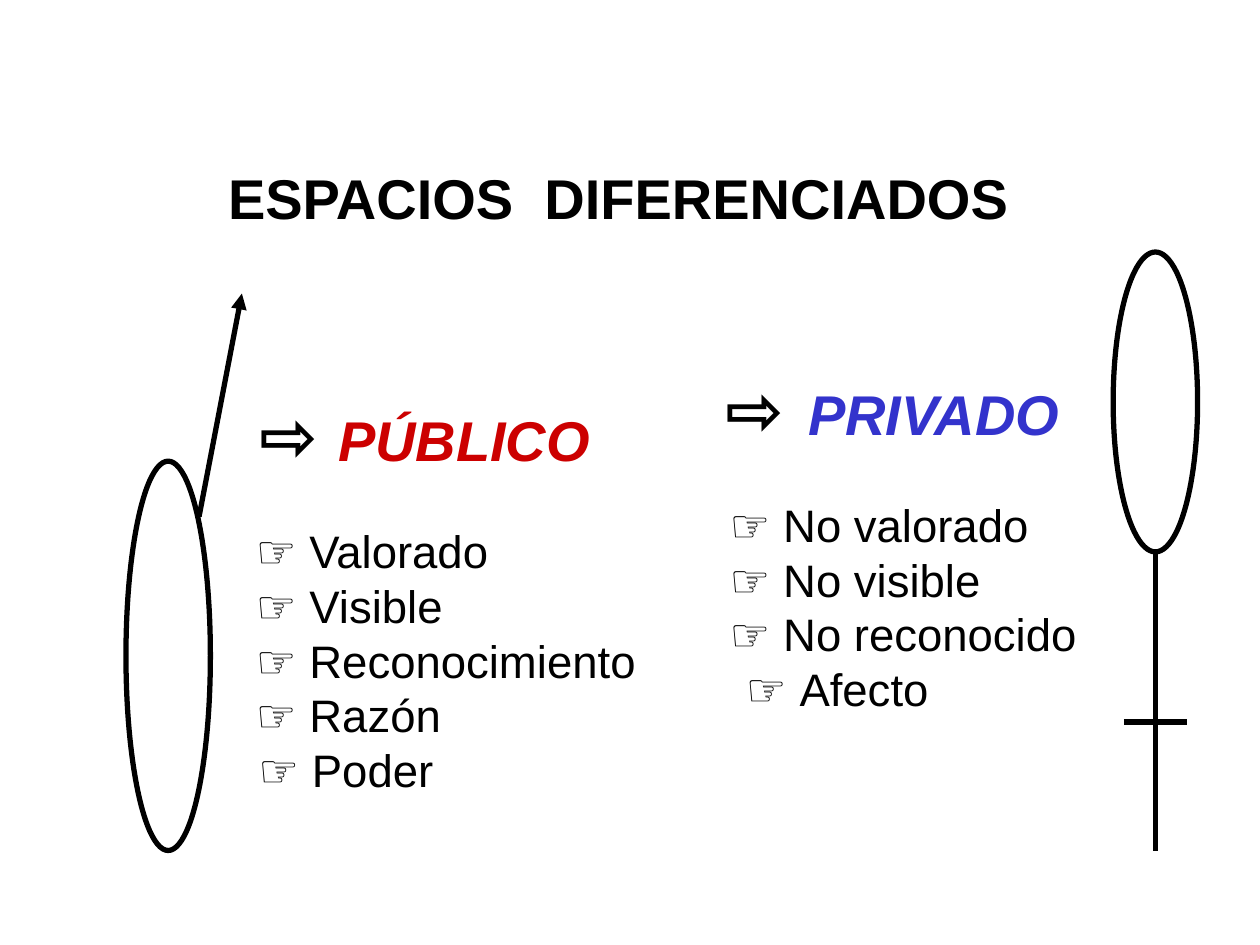
from lxml.etree import SubElement
from pptx import Presentation
from pptx.dml.color import RGBColor
from pptx.enum.shapes import MSO_CONNECTOR, MSO_SHAPE
from pptx.enum.text import MSO_ANCHOR, MSO_AUTO_SIZE, PP_ALIGN
from pptx.oxml.ns import qn
from pptx.util import Inches, Pt

COLORS = {"ink": "000000", "public": "CC0000", "private": "3333CC"}
SYMBOL_WIDTH = 0.67
STROKE = 3


def add_run(paragraph, text, size=26, font="Arial", color="ink", bold=False, italic=False):
    """Append formatted text to a paragraph."""
    run = paragraph.add_run()
    run.text = text
    style = run.font
    style.name, style.size, style.bold, style.italic = font, Pt(size), bold, italic
    style.color.rgb = RGBColor.from_string(COLORS[color])


def set_paragraph(paragraph, indent, before=0):
    """Give a paragraph a plain left indent and spacing without a bullet."""
    paragraph.alignment = PP_ALIGN.LEFT
    paragraph.line_spacing = 1.0
    paragraph.space_before, paragraph.space_after = Pt(before), Pt(0)
    properties = paragraph._p.get_or_add_pPr()
    properties.set("marL", str(Inches(indent)))
    properties.set("indent", "0")
    SubElement(properties, qn("a:buNone"))


def place(holder, left, top, width, height, anchor):
    """Move a placeholder and return its text frame."""
    holder.left, holder.top = Inches(left), Inches(top)
    holder.width, holder.height = Inches(width), Inches(height)
    frame = holder.text_frame
    frame.word_wrap = True
    frame.auto_size = MSO_AUTO_SIZE.NONE
    frame.vertical_anchor = anchor
    return frame


def fill_space(holder, bounds, heading, color, heading_indent, gap_size, items):
    """Write one space as an arrowed heading above its pointed items."""
    frame = place(holder, *bounds, MSO_ANCHOR.BOTTOM)
    title = frame.paragraphs[0]
    set_paragraph(title, heading_indent)
    add_run(title, "⇨", size=40, bold=True)
    add_run(title, " ", size=gap_size, font="Comic Neue", bold=True)
    add_run(title, heading, size=32, color=color, bold=True, italic=True)
    for position, (item, indent) in enumerate(items):
        entry = frame.add_paragraph()
        set_paragraph(entry, indent, before=0 if position else 27.6)
        add_run(entry, "☞ ", bold=True)
        add_run(entry, item)


def add_oval(symbol, left, top, height):
    """Draw the hollow body of a gender symbol."""
    oval = symbol.shapes.add_shape(
        MSO_SHAPE.OVAL, Inches(left), Inches(top), Inches(SYMBOL_WIDTH), Inches(height))
    oval.shadow.inherit = False
    oval.fill.background()
    oval.line.color.rgb = RGBColor.from_string(COLORS["ink"])
    oval.line.width = Pt(STROKE)


def add_stroke(symbol, start, end, arrow=False):
    """Draw a straight part of a gender symbol."""
    stroke = symbol.shapes.add_connector(
        MSO_CONNECTOR.STRAIGHT, *(Inches(value) for value in (*start, *end)))
    stroke.line.color.rgb = RGBColor.from_string(COLORS["ink"])
    stroke.line.width = Pt(STROKE)
    if arrow:
        SubElement(stroke.line._get_or_add_ln(), qn("a:tailEnd"), type="triangle")
    SubElement(stroke._element.spPr, qn("a:effectLst"))


def add_female(slide):
    """Draw the oval, stem and crossbar beside the private space."""
    symbol = slide.shapes.add_group_shape()
    axis, oval_top, oval_height, bar = 9.17, 2, 2.38, 5.73
    add_oval(symbol, axis - SYMBOL_WIDTH / 2, oval_top, oval_height)
    add_stroke(symbol, (axis, oval_top + oval_height), (axis, 6.75))
    add_stroke(symbol, (axis - 0.25, bar), (axis + 0.25, bar))


def add_male(slide):
    """Draw the oval and arrow beside the public space."""
    symbol = slide.shapes.add_group_shape()
    add_oval(symbol, 1, 3.66, 3.09)
    add_stroke(symbol, (1.58, 4.1), (1.92, 2.33), arrow=True)


def main():
    """Build the slide on differentiated spaces."""
    deck = Presentation()
    deck.slide_width, deck.slide_height = Inches(10), Inches(7.5)
    slide = deck.slides.add_slide(deck.slide_layouts[3])
    title, public, private = list(slide.placeholders)[:3]

    frame = place(title, 1.58, 1.25, 7.17, 0.64, MSO_ANCHOR.TOP)
    set_paragraph(frame.paragraphs[0], 0.13)
    add_run(frame.paragraphs[0], "ESPACIOS  DIFERENCIADOS", size=32, bold=True)

    public_items = [(item, 0.1) for item in ("Valorado", "Visible", "Reconocimiento", "Razón")]
    fill_space(public, (1.83, 2.5, 3.67, 3.87), "PÚBLICO", "public", 0.13, 32,
               public_items + [("Poder", 0.12)])
    private_items = [(item, 0.19) for item in ("No valorado", "No visible", "No reconocido")]
    fill_space(private, (5.5, 2.83, 3.5, 2.9), "PRIVADO", "private", 0.16, 38,
               private_items + [("Afecto", 0.32)])

    add_female(slide)
    add_male(slide)
    deck.save("out.pptx")


if __name__ == "__main__":
    main()
